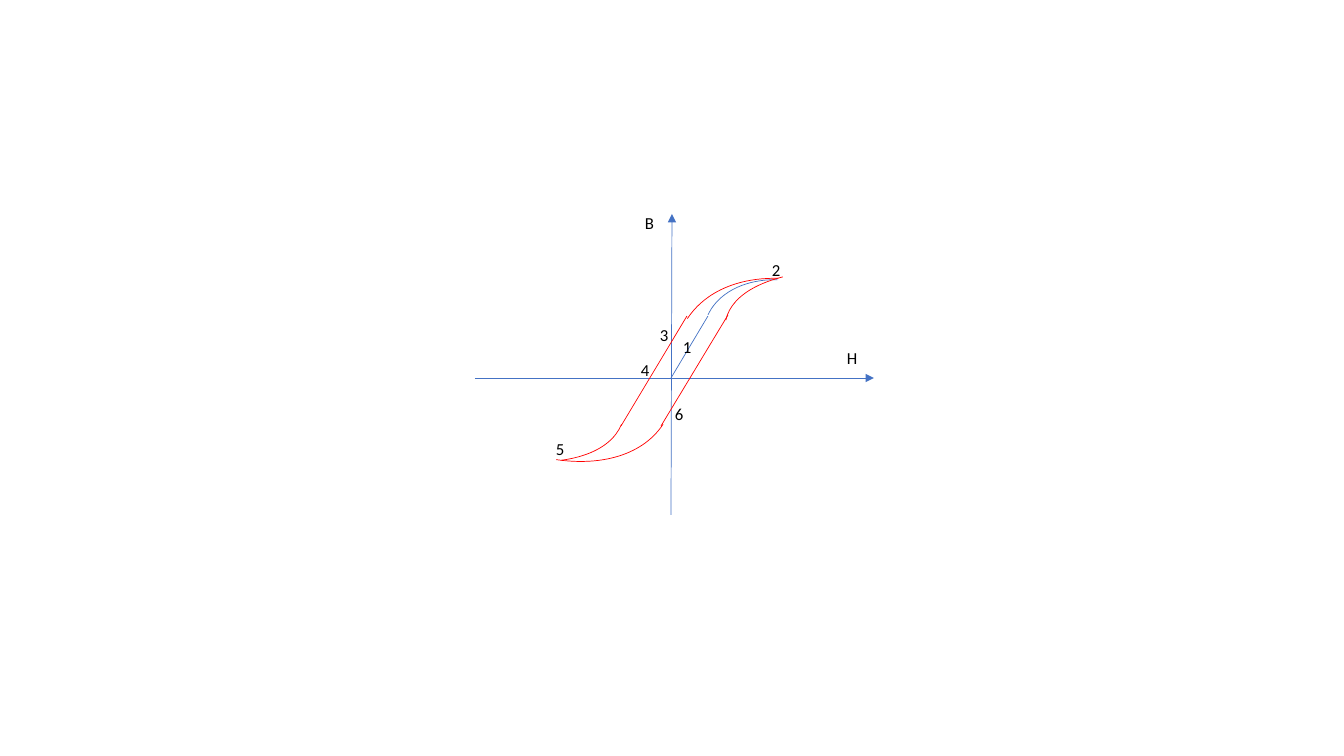
from lxml import etree
from pptx import Presentation
from pptx.dml.color import RGBColor
from pptx.enum.shapes import MSO_CONNECTOR, MSO_SHAPE
from pptx.enum.text import MSO_AUTO_SIZE
from pptx.oxml.ns import qn
from pptx.util import Pt

STRAIGHT = MSO_CONNECTOR.STRAIGHT
ARC = MSO_SHAPE.ARC
FIT = MSO_AUTO_SIZE.SHAPE_TO_FIT_TEXT
PX = 914400 / 100.8
COLORS = {"blue": "4472C4", "red": "FF0000", "text": "000000"}

deck = Presentation()
deck.slide_width, deck.slide_height = round(1344 * PX), round(756 * PX)
slide = deck.slides.add_slide(deck.slide_layouts[6])
shapes = slide.shapes


def scale(*sizes):
    return [round(size * PX) for size in sizes]


def write(text, left, top, width=29, size=12, font="Calibri", color="text"):
    box = shapes.add_textbox(*scale(left, top, width, 30))
    frame = box.text_frame
    frame.word_wrap = False
    frame.auto_size = FIT
    run = frame.paragraphs[0].add_run()
    run.text = text
    run.font.size = Pt(size)
    run.font.name = font
    run.font.color.rgb = RGBColor.from_string(COLORS[color])


# Axes with arrowheads, then the straight parts of the curves
lines = [
    ((475, 378), (874, 378), "blue", True),
    ((671, 515), (672, 214), "blue", True),
    ((708, 316), (671, 378), "blue", False),
    ((621, 426), (687, 316), "red", False),
    ((661, 426), (728, 315), "red", False),
]
for start, end, color, arrow in lines:
    line = shapes.add_connector(STRAIGHT, *scale(*start, *end))
    line.line.width = Pt(0.5)
    line.line.color.rgb = RGBColor.from_string(COLORS[color])
    if arrow:
        etree.SubElement(line.line._get_or_add_ln(), qn("a:tailEnd"), type="triangle")
    etree.SubElement(line._element.spPr, qn("a:effectLst"))

# Bent ends: box, turn, start and end angle in degrees
arcs = [
    ((725, 259, 126, 171), 285.3, 275.1, 335.53, "blue"),
    ((710, 246, 224, 322), 303.3, 270, 308.03, "red"),
    ((816, 183, 159, 347), 282.1, 270, 293.16, "red"),
    ((413, 163, 217, 338), 123.1, 270, 311.69, "red"),
    ((375, 185, 172, 347), 112.3, 270, 293.11, "red"),
]
for box, turn, start, end, color in arcs:
    arc = shapes.add_shape(ARC, *scale(*box))
    arc.rotation = turn
    # An arc angle is stored as 60000 per degree, an adjustment as 100000 per unit
    arc.adjustments[0] = start * 0.6
    arc.adjustments[1] = end * 0.6
    arc.fill.background()
    arc.line.width = Pt(0.5)
    arc.line.color.rgb = RGBColor.from_string(COLORS[color])
    arc.shadow.inherit = False

# Axis names and point numbers
write("B", 635, 208)
write("H", 837, 343, width=31)
points = [(673, 332), (762, 255), (650, 320), (631, 355), (546, 434), (665, 399)]
for number, (left, top) in enumerate(points, 1):
    write(str(number), left, top)

deck.save("out.pptx")
